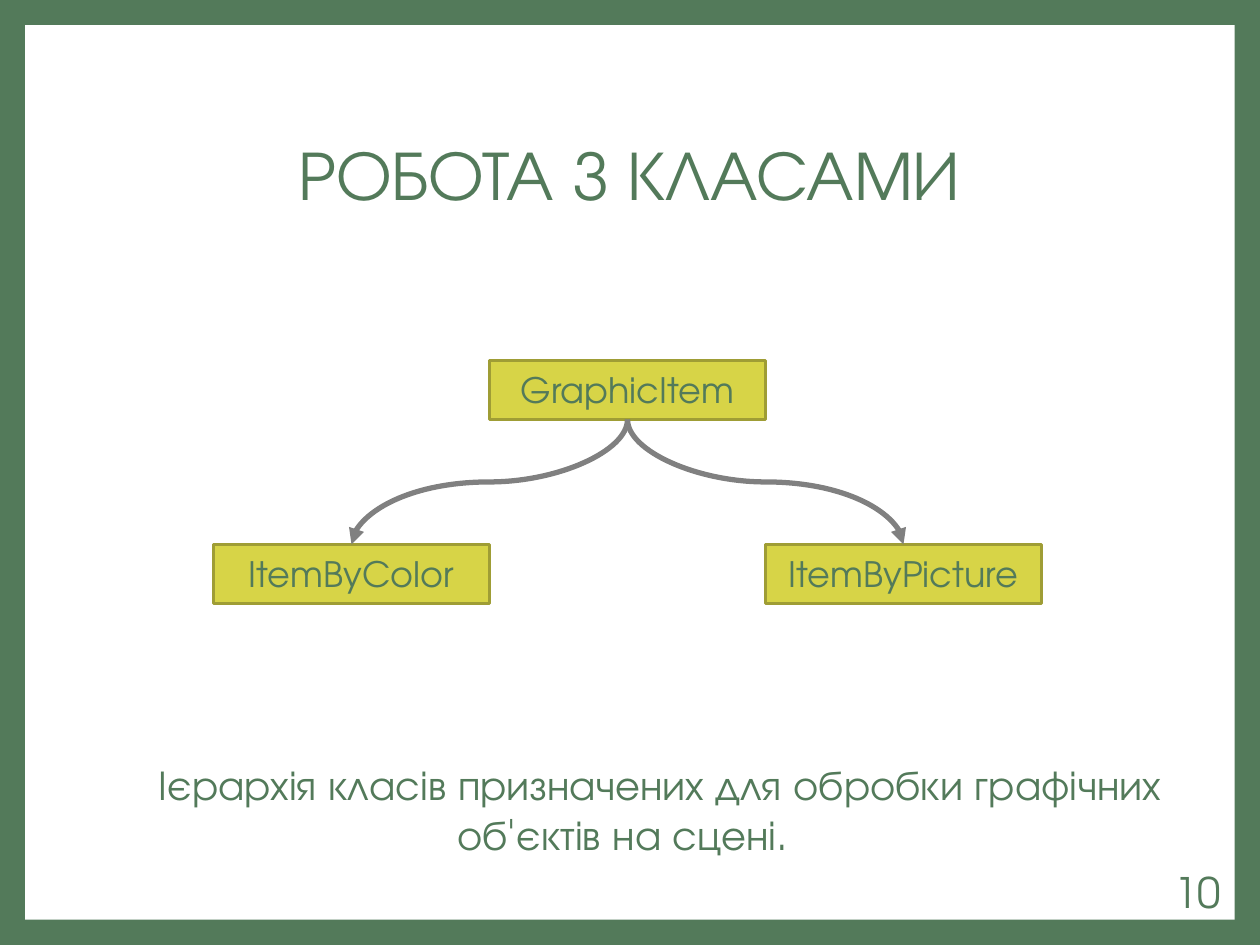
from lxml import etree
from pptx import Presentation
from pptx import util as u
from pptx.dml.color import RGBColor
from pptx.enum import shapes, text
from pptx.oxml.ns import qn

TITLE = "РОБОТА З КЛАСАМИ"
CAPTION = "\tІєрархія класів призначених для обробки графічних об'єктів на сцені. "
PAGE = "10"
PARENT = "GraphicItem"
CHILDREN = ["ItemByColor", "ItemByPicture"]

COLORS = {"green": "537A5A", "white": "FFFFFF", "olive": "D7D447",
          "edge": "9F9D35", "arrow": "808080"}
FONT = "TeX Gyre Adventor"
CENTER = 4.98
BOX_W, BOX_H = 2.19, 0.47
PARENT_TOP, CHILD_TOP = 2.86, 4.32
ALIGN, ANCHOR = text.PP_ALIGN, text.MSO_ANCHOR


def rgb(name):
    return RGBColor.from_string(COLORS[name])


def place(shape, *box):
    for side, value in zip(("left", "top", "width", "height"), box):
        setattr(shape, side, u.Inches(value))


def write(shape, words, size, align=ALIGN.CENTER, anchor=ANCHOR.MIDDLE):
    frame = shape.text_frame
    frame.word_wrap = True
    frame.vertical_anchor = anchor
    line = frame.paragraphs[0]
    line.alignment = align
    run = line.add_run()
    run.text = words
    for key, value in {"name": FONT, "size": u.Pt(size), "bold": False}.items():
        setattr(run.font, key, value)
    run.font.color.rgb = rgb("green")
    return line


def add_label(slide, box, *args):
    label = slide.shapes.add_textbox(*map(u.Inches, box))
    write(label, *args)


def add_rect(slide, box, fill):
    rect = slide.shapes.add_shape(shapes.MSO_SHAPE.RECTANGLE, *map(u.Inches, box))
    rect.shadow.inherit = False
    rect.fill.solid()
    rect.fill.fore_color.rgb = rgb(fill)
    return rect


def add_class(slide, name, center, top):
    node = add_rect(slide, (center - BOX_W / 2, top, BOX_W, BOX_H), "olive")
    node.line.color.rgb = rgb("edge")
    node.line.width = u.Pt(1.5)
    write(node, name, 20)
    return node


def add_arrow(slide, parent, child, side):
    arrow = slide.shapes.add_connector(shapes.MSO_CONNECTOR.CURVE, 0, 0, 0, 0)
    arrow.begin_connect(parent, 2)
    arrow.end_connect(child, 0)
    start = PARENT_TOP + BOX_H
    drop = CHILD_TOP - start
    middle = CENTER + side * BOX_W / 2
    place(arrow, middle - drop / 2, start + drop / 2 - BOX_W / 2, drop, BOX_W)
    turn = {"rot": str((180 + side * 90) * 60000), "flipH": str(int(side > 0)), "flipV": "0"}
    properties = arrow.element.find(qn("p:spPr"))
    for key, value in turn.items():
        properties.find(qn("a:xfrm")).set(key, value)
    arrow.line.color.rgb = rgb("arrow")
    arrow.line.width = u.Pt(3)
    etree.SubElement(properties.find(qn("a:ln")), qn("a:tailEnd"), type="triangle")
    etree.SubElement(properties, qn("a:effectLst"))


def main():
    """Build the class hierarchy slide."""
    deck = Presentation()
    deck.slide_width, deck.slide_height = u.Inches(10), u.Inches(7.5)
    slide = deck.slides.add_slide(deck.slide_layouts[5])
    slide.background.fill.solid()
    slide.background.fill.fore_color.rgb = rgb("green")

    title = slide.shapes.title
    place(title, 1.08, 0.67, 7.83, 1.48)
    write(title, TITLE, 40).line_spacing = 0.9

    panel = add_rect(slide, (0.2, 0.2, 9.6, 7.1), "white")
    panel.line.fill.background()
    title.element.addprevious(panel.element)

    add_label(slide, (0.33, 5.97, 9.32, 0.91), CAPTION, 24, ALIGN.CENTER, ANCHOR.TOP)
    add_label(slide, (8.39, 6.88, 1.4, 0.4), PAGE, 24, ALIGN.RIGHT)

    parent = add_class(slide, PARENT, CENTER, PARENT_TOP)
    for side, name in zip((-1, 1), CHILDREN):
        child = add_class(slide, name, CENTER + side * BOX_W, CHILD_TOP)
        add_arrow(slide, parent, child, side)
    deck.save("out.pptx")


if __name__ == "__main__":
    main()
